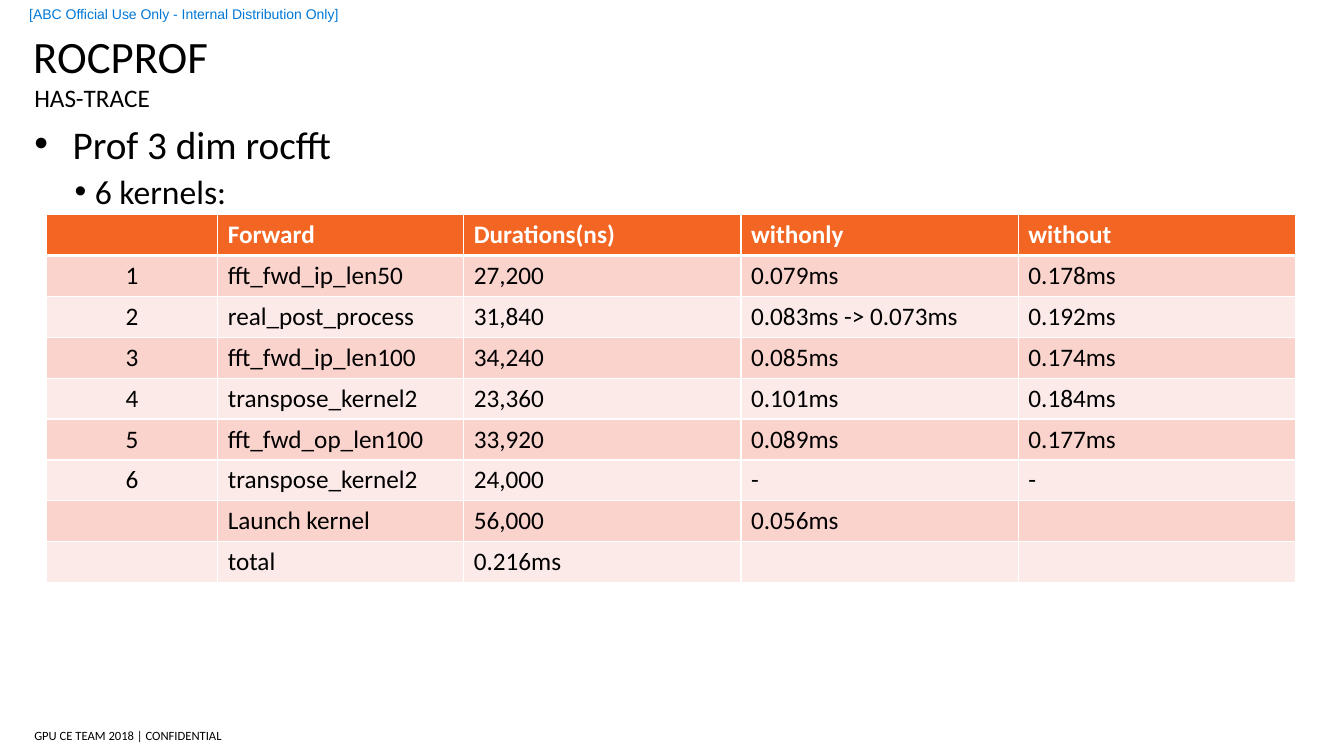
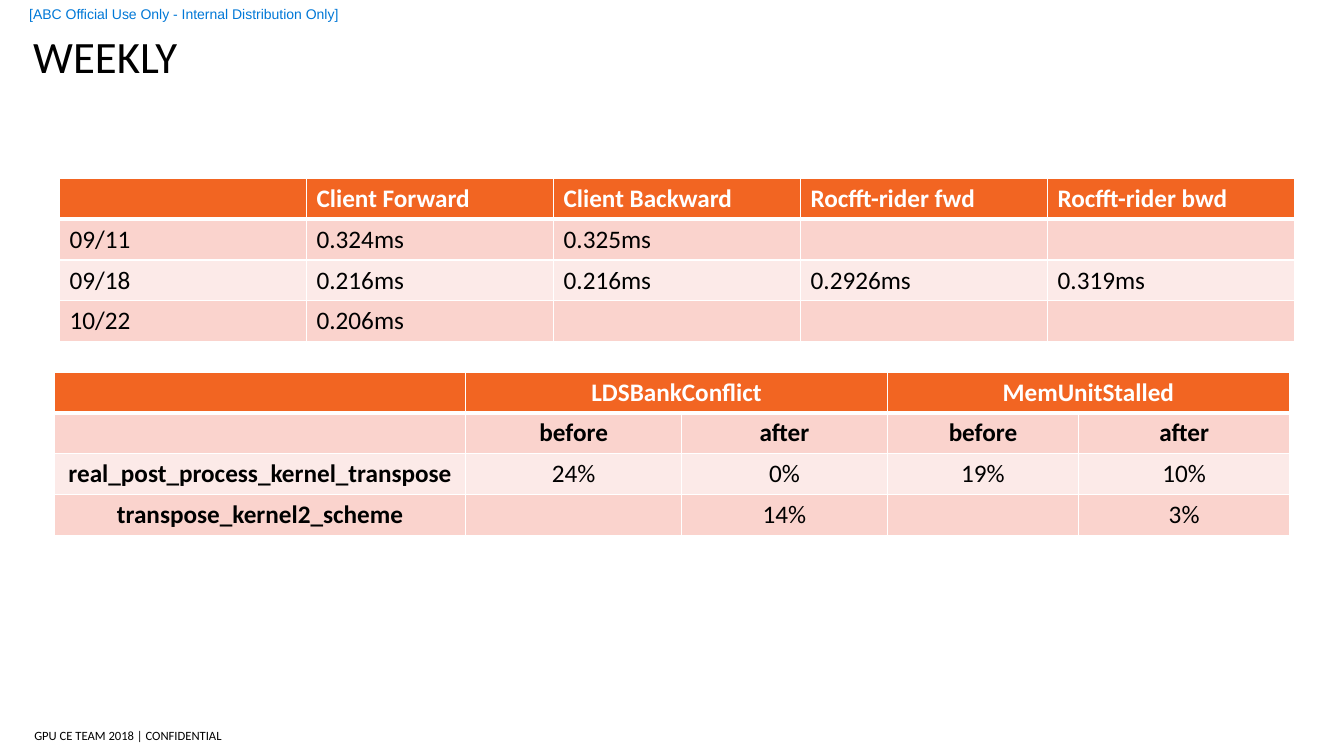
"""Builds two slides of kernel profiling results with shared title, label and footer."""
from lxml.etree import SubElement
from pptx import Presentation
from pptx.dml.color import RGBColor
from pptx.enum.text import MSO_ANCHOR, PP_ALIGN
from pptx.oxml.ns import qn
from pptx.util import Emu, Pt

COLORS = {
    "text": "000000",
    "label": "0078D7",
    "header": "F26522",
    "band_dark": "FAD3CD",
    "band_light": "FCEAE8",
    "white": "FFFFFF",
}
FONT = "Calibri"

KERNELS = [
    ["", "Forward", "Durations(ns)", "withonly", "without"],
    ["1", "fft_fwd_ip_len50", "27,200", "0.079ms", "0.178ms"],
    ["2", "real_post_process", "31,840", "0.083ms -> 0.073ms", "0.192ms"],
    ["3", "fft_fwd_ip_len100", "34,240", "0.085ms", "0.174ms"],
    ["4", "transpose_kernel2", "23,360", "0.101ms", "0.184ms"],
    ["5", "fft_fwd_op_len100", "33,920", "0.089ms", "0.177ms"],
    ["6", "transpose_kernel2", "24,000", "-", "-"],
    ["", "Launch kernel", "56,000", "0.056ms", ""],
    ["", "total", "0.216ms", "", ""],
]
WEEKS = [
    ["", "Client Forward", "Client Backward", "Rocfft-rider fwd", "Rocfft-rider bwd"],
    ["09/11", "0.324ms", "0.325ms", "", ""],
    ["09/18", "0.216ms", "0.216ms", "0.2926ms", "0.319ms"],
    ["10/22", "0.206ms", "", "", ""],
]
COUNTERS = [
    ["", "LDSBankConflict", "", "MemUnitStalled", ""],
    ["", "before", "after", "before", "after"],
    ["real_post_process_kernel_transpose", "24%", "0%", "19%", "10%"],
    ["transpose_kernel2_scheme", "", "14%", "", "3%"],
]


def px(length):
    """Turn a length in px, 100 to the inch, into EMU."""
    return Emu(length * 9144)


def color(name):
    """Look up a colour of the deck."""
    return RGBColor.from_string(COLORS[name])


def style(paragraph, size, tint="text", font=FONT, bold=False):
    """Format the runs of a paragraph."""
    for run in paragraph.runs:
        run.font.name = font
        run.font.size = Pt(size)
        run.font.bold = bold
        run.font.color.rgb = color(tint)


def add_text(slide, box, text, size, tint="text", font=FONT,
             anchor=MSO_ANCHOR.TOP, top_inset=0):
    """Add a text box without side insets and return its frame."""
    frame = slide.shapes.add_textbox(*map(px, box)).text_frame
    frame.word_wrap = True
    frame.vertical_anchor = anchor
    frame.margin_left = frame.margin_right = frame.margin_bottom = 0
    frame.margin_top = px(top_inset)
    frame.text = text
    for paragraph in frame.paragraphs:
        style(paragraph, size, tint, font)
    return frame


def add_bullet(paragraph, size, left, hanging, before, level=0):
    """Give a paragraph a round bullet, a hanging indent and space before."""
    style(paragraph, size)
    paragraph.level = level
    paragraph.space_before = Pt(before)
    properties = paragraph._p.get_or_add_pPr()
    properties.set("marL", str(px(left)))
    properties.set("indent", str(-px(hanging)))
    SubElement(properties, qn("a:buFont"), typeface="Arial")
    SubElement(properties, qn("a:buChar"), char="•")


def add_borders(cell, row):
    """Draw white cell borders, thick between the header and the body."""
    properties = cell._tc.get_or_add_tcPr()
    widths = {"L": 1, "R": 1, "T": 3 if row == 1 else 1, "B": 3 if row == 0 else 1}
    for side, width in widths.items():
        line = SubElement(properties, qn(f"a:ln{side}"), w=str(Pt(width)))
        fill = SubElement(line, qn("a:solidFill"))
        SubElement(fill, qn("a:srgbClr"), val=COLORS["white"])


def add_banded_table(slide, left, top, height, widths, rows,
                     centred_columns=0, bold_rows=1, bold_columns=0, merges=()):
    """Add a table with an orange header and alternating pink rows."""
    table = slide.shapes.add_table(
        len(rows), len(widths), px(left), px(top), px(sum(widths)), px(height)).table
    for column, width in zip(table.columns, widths):
        column.width = px(width)
    for r, values in enumerate(rows):
        band = "header" if r == 0 else "band_dark" if r % 2 else "band_light"
        for c, value in enumerate(values):
            cell = table.cell(r, c)
            add_borders(cell, r)
            cell.fill.solid()
            cell.fill.fore_color.rgb = color(band)
            cell.text_frame.text = value
            paragraph = cell.text_frame.paragraphs[0]
            paragraph.alignment = PP_ALIGN.CENTER if c < centred_columns else PP_ALIGN.LEFT
            style(paragraph, 18, "text" if r else "white",
                  bold=r < bold_rows or c < bold_columns)
    for first, last in merges:
        table.cell(0, first).merge(table.cell(0, last))


def add_page(deck, title):
    """Add a slide with the label, title and footer that all slides share."""
    slide = deck.slides.add_slide(deck.slide_layouts[6])
    add_text(slide, (34, 718, 300, 24), "GPU CE TEAM 2018 | CONFIDENTIAL", 9,
             anchor=MSO_ANCHOR.MIDDLE)
    add_text(slide, (29, 0, 360, 27), "[ABC Official Use Only - Internal Distribution Only]",
             10, "label", "Arial", MSO_ANCHOR.MIDDLE)
    add_text(slide, (33, 30, 1270, 52), title, 32, anchor=MSO_ANCHOR.BOTTOM, top_inset=5)
    return slide


def add_trace_slide(deck):
    """Show the duration of each kernel."""
    slide = add_page(deck, "ROCPROF")
    add_text(slide, (34, 82, 1270, 31), "HAS-TRACE", 18)
    outline = add_text(slide, (34, 114, 1240, 95), "Prof 3 dim rocfft\n6 kernels:", 28,
                       top_inset=5)
    topic, detail = outline.paragraphs
    add_bullet(topic, 28, 38, 38, 8)
    add_bullet(detail, 24, 60, 20, 3, level=1)
    add_banded_table(slide, 46, 213, 365, [170, 244, 275, 275, 275], KERNELS,
                     centred_columns=1)


def add_weekly_slide(deck):
    """Show the weekly timings and the counters before and after."""
    slide = add_page(deck, "WEEKLY")
    add_banded_table(slide, 59, 177, 162, [245] * 5, WEEKS)
    add_banded_table(slide, 54, 369, 162, [408, 214, 204, 190, 209], COUNTERS,
                     centred_columns=5, bold_rows=2, bold_columns=1,
                     merges=[(1, 2), (3, 4)])


def main():
    """Build and save the deck."""
    deck = Presentation()
    deck.slide_width, deck.slide_height = px(1333), px(750)
    add_trace_slide(deck)
    add_weekly_slide(deck)
    deck.save("out.pptx")


if __name__ == "__main__":
    main()
